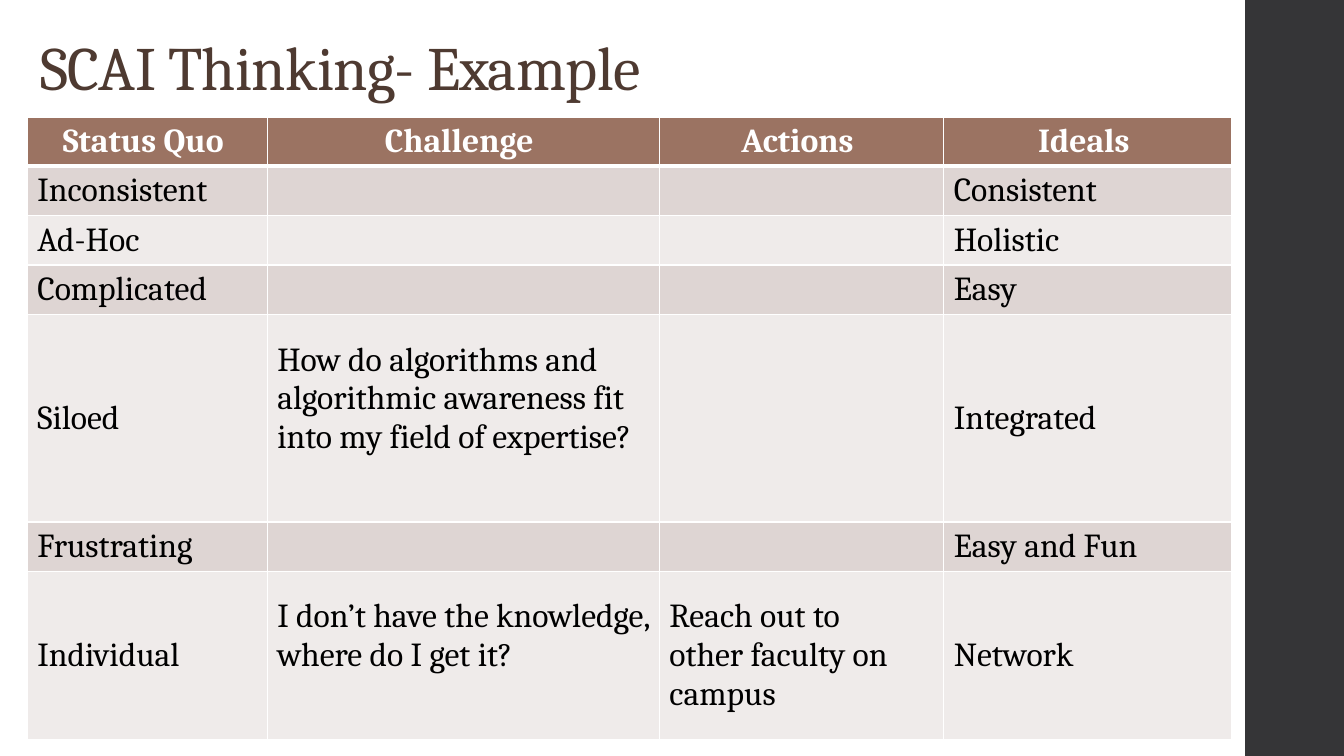
from dataclasses import dataclass

import pptx
import pptx.util
from lxml import etree
from pptx.dml.color import RGBColor
from pptx.enum.shapes import MSO_SHAPE
from pptx.enum.text import MSO_ANCHOR, MSO_AUTO_SIZE, PP_ALIGN
from pptx.oxml.ns import qn
from pptx.util import Inches

FONT = "Cambria"
WHITE = RGBColor(0xFF, 0xFF, 0xFF)
BLACK = RGBColor(0x00, 0x00, 0x00)
CHARCOAL = RGBColor(0x35, 0x35, 0x37)
UMBER = RGBColor(0x4E, 0x3A, 0x31)
CLAY = RGBColor(0x9B, 0x73, 0x62)
BANDS = (RGBColor(0xDE, 0xD5, 0xD3), RGBColor(0xEF, 0xEB, 0xEA))

COLUMN_WIDTHS = (2.38, 3.89, 2.82, 2.86)
HEADINGS = ("Status Quo", "Challenge", "Actions", "Ideals")
HEADER_HEIGHT = 0.49


@dataclass
class ThinkingRow:
    status_quo: str
    ideal: str
    challenge: str = ""
    action: str = ""
    height: float = 0.49

    def texts(self) -> tuple[str, ...]:
        return self.status_quo, self.challenge, self.action, self.ideal


ROWS = (
    ThinkingRow("Inconsistent", "Consistent"),
    ThinkingRow("Ad-Hoc", "Holistic"),
    ThinkingRow("Complicated", "Easy"),
    ThinkingRow("Siloed", "Integrated",
                "How do algorithms and algorithmic awareness fit into my field of expertise?",
                height=2.06),
    ThinkingRow("Frustrating", "Easy and Fun"),
    ThinkingRow("Individual", "Network",
                "I don’t have the knowledge, where do I get it?",
                "Reach out to other faculty on campus", height=1.67),
)


def format_font(font, color: RGBColor, **values) -> None:
    for name, value in {"name": FONT, **values}.items():
        setattr(font, name, value)
    font.color.rgb = color


def set_borders(cell, top: float, bottom: float) -> None:
    tc_pr = cell._tc.get_or_add_tcPr()
    for side, width in {"lnL": 1, "lnR": 1, "lnT": top, "lnB": bottom}.items():
        ln = etree.SubElement(tc_pr, qn(f"a:{side}"), w=str(pptx.util.Pt(width)))
        fill = etree.SubElement(ln, qn("a:solidFill"))
        etree.SubElement(fill, qn("a:srgbClr"), val=str(WHITE))


def fill_cell(cell, text: str, row: int, column: int) -> None:
    header = row == 0
    set_borders(cell, top=3 if row == 1 else 1, bottom=3 if header else 1)
    cell.fill.solid()
    cell.fill.fore_color.rgb = CLAY if header else BANDS[(row - 1) % 2]
    cell.vertical_anchor = MSO_ANCHOR.MIDDLE
    # Headings sit slightly left, challenges slightly high, actions wrap early
    if header:
        cell.margin_right = Inches(0.18)
    elif text and column == 1:
        cell.margin_bottom = Inches(0.43)
    elif text and column == 2:
        cell.margin_right = Inches(0.4)
    p = cell.text_frame.paragraphs[0]
    p.alignment = PP_ALIGN.CENTER if header else PP_ALIGN.LEFT
    if text:
        r = p.add_run()
        r.text = text
        format_font(r.font, WHITE if header else BLACK,
                    size=pptx.util.Pt(24), bold=header)


def add_side_bar(s) -> None:
    bar = s.shapes.add_shape(MSO_SHAPE.RECTANGLE, Inches(12.35), 0, Inches(1), Inches(7.5))
    bar.shadow.inherit = False
    bar.fill.solid()
    bar.fill.fore_color.rgb = CHARCOAL
    bar.line.fill.background()


def format_title(s, text: str) -> None:
    title = s.shapes.title
    box = {"left": 0.3, "top": -0.37, "width": 11.5, "height": 1.45}
    for name, value in box.items():
        setattr(title, name, Inches(value))
    tf = title.text_frame
    tf.word_wrap = True
    tf.auto_size = MSO_AUTO_SIZE.NONE
    tf.vertical_anchor = MSO_ANCHOR.BOTTOM
    p = tf.paragraphs[0]
    p.alignment = PP_ALIGN.LEFT
    p.line_spacing = 0.9
    r = p.add_run()
    r.text = text
    format_font(r.font, UMBER, size=pptx.util.Pt(44))
    r._r.get_or_add_rPr().set("spc", "-50")


def add_thinking_table(s) -> None:
    heights = (HEADER_HEIGHT, *(row.height for row in ROWS))
    texts = (HEADINGS, *(row.texts() for row in ROWS))
    table = s.shapes.add_table(len(texts), len(HEADINGS), Inches(0.27), Inches(1.16),
                               Inches(sum(COLUMN_WIDTHS)), Inches(sum(heights))).table
    for column, width in zip(table.columns, COLUMN_WIDTHS):
        column.width = Inches(width)
    for i, (height, row_texts) in enumerate(zip(heights, texts)):
        table.rows[i].height = Inches(height)
        for j, text in enumerate(row_texts):
            fill_cell(table.cell(i, j), text, i, j)


def main() -> None:
    prs = pptx.Presentation()
    prs.slide_width, prs.slide_height = Inches(13.33), Inches(7.5)
    s = prs.slides.add_slide(prs.slide_layouts[5])
    s.background.fill.solid()
    s.background.fill.fore_color.rgb = WHITE
    add_side_bar(s)
    format_title(s, "SCAI Thinking- Example")
    add_thinking_table(s)
    prs.save("out.pptx")


if __name__ == "__main__":
    main()
